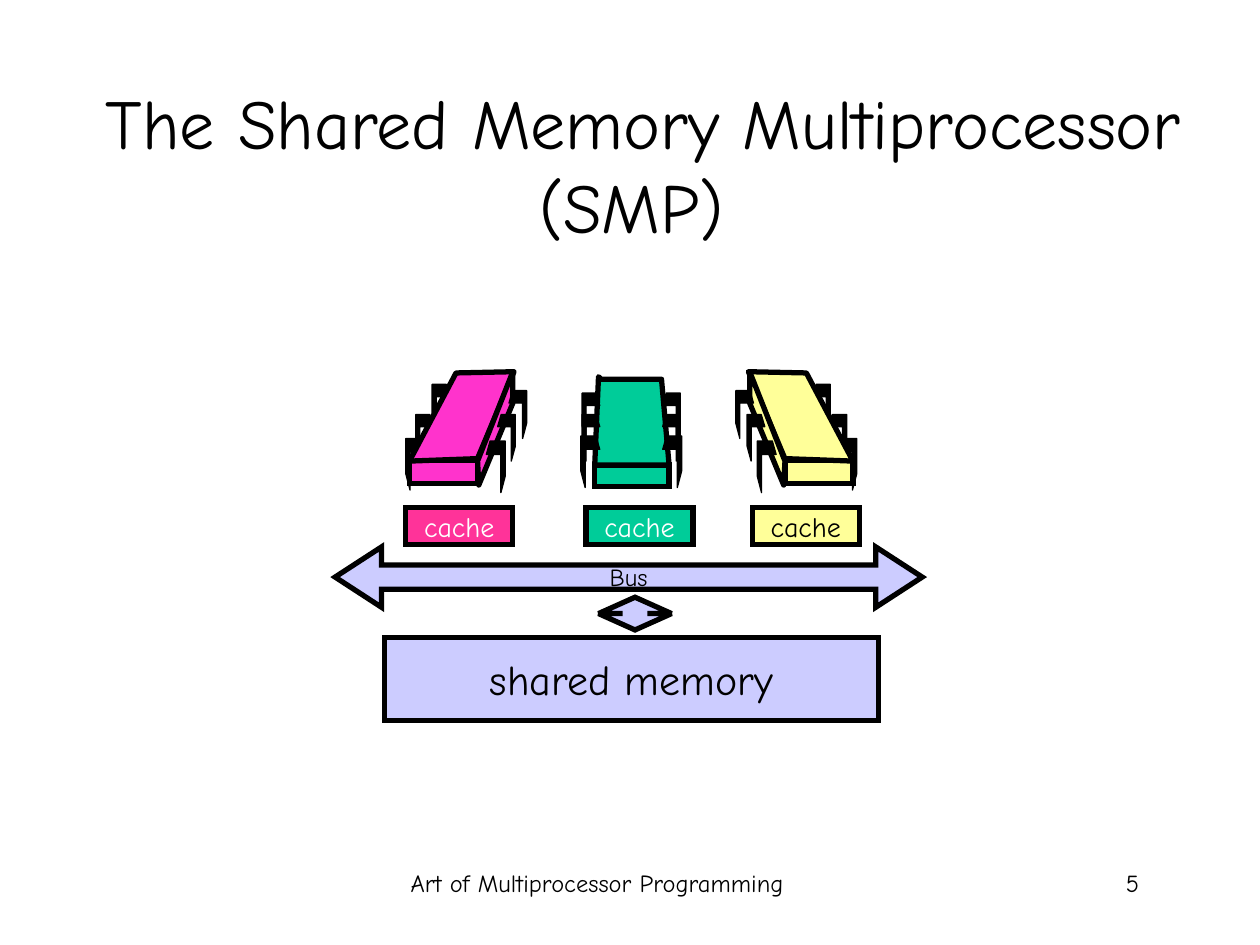
"""Build the shared memory multiprocessor slide."""
from lxml.etree import SubElement
from pptx import Presentation
from pptx.dml.color import RGBColor
from pptx.enum.shapes import MSO_SHAPE
from pptx.enum.text import MSO_ANCHOR, PP_ALIGN
from pptx.oxml.ns import qn
from pptx.util import Inches, Pt

FONT = "Comic Neue"
COLORS = {"black": "000000", "white": "FFFFFF", "pink": "FF33CC", "rose": "FF3399",
          "green": "00CC99", "yellow": "FFFF99", "lilac": "CCCCFF"}
AXIS = 5.01

TEXTS = [
    ("Art of Multiprocessor Programming", (2.6, 6.84, 4.28, 0.5), 14, PP_ALIGN.CENTER, MSO_ANCHOR.TOP),
    ("5", (7.06, 6.84, 2.08, 0.5), 14, PP_ALIGN.RIGHT, MSO_ANCHOR.TOP),
    ("The Shared Memory Multiprocessor\v(SMP) ", (0.27, 0.67, 9.67, 1.25), 40, PP_ALIGN.CENTER,
     MSO_ANCHOR.MIDDLE),
]

LEG_SIZES = {"front": (0.15, 0.41), "middle": (0.14, 0.37), "back": (0.14, 0.38)}
LEG_OUTLINE = [(0.8, 0), (0, 0), (0, 0.68), (0.23, 1), (0.23, 0.26), (1, 0.26)]

SIDE_CHIP = {
    "front": (3.25, 3.65, 0.54, 0.19),
    "far_legs": [("front", 3.22, 3.48, 1), ("middle", 3.3, 3.29, 1), ("back", 3.43, 3.05, 1)],
    "faces": [[(3.25, 3.66), (3.79, 3.64), (4.08, 2.95), (3.62, 2.96)],
              [(4.07, 2.95), (4.07, 3.2), (3.8, 3.85), (3.79, 3.66)]],
    "near_legs": [("front", 4.01, 3.5, -1), ("middle", 4.09, 3.29, -1), ("back", 4.18, 3.1, -1)],
}
MIDDLE_CHIP = {
    "front": (4.72, 3.69, 0.59, 0.17),
    "far_legs": [],
    "faces": [[(4.77, 3.01), (5.25, 3.01), (5.31, 3.69), (4.72, 3.69), (4.75, 2.99)]],
    "near_legs": [(row, x, y, side) for row, left, y in
                  [("front", 4.61, 3.46), ("middle", 4.62, 3.29), ("back", 4.62, 3.12)]
                  for x, side in [(left, 1), (2 * AXIS - left, -1)]],
}
CHIPS = [(MIDDLE_CHIP, "green", False), (SIDE_CHIP, "pink", False), (SIDE_CHIP, "yellow", True)]

CACHES = [(3.22, "rose", "white"), (4.65, "green", "white"), (5.97, "yellow", "black")]
BLOCKS = [
    (MSO_SHAPE.LEFT_RIGHT_ARROW, (2.66, 4.34, 4.66, 0.48), "lilac", (0.4, 0.77), "Bus", 14, "black"),
    (MSO_SHAPE.RECTANGLE, (3.05, 5.06, 3.92, 0.66), "lilac", (), "shared memory", 24, "black"),
    (MSO_SHAPE.UP_DOWN_ARROW, (4.75, 4.74, 0.58, 0.26), "lilac", (0.5, 0.34), "", 14, "black"),
] + [(MSO_SHAPE.RECTANGLE, (x, 4.03, 0.85, 0.29), fill, (), "cache", 16, ink) for x, fill, ink in CACHES]


def rgb(name):
    return RGBColor.from_string(COLORS[name])


def write(sp, text, size, color="black", **frame):
    tf = sp.text_frame
    align = frame.pop("alignment", PP_ALIGN.CENTER)
    for key, value in frame.items():
        setattr(tf, key, value)
    p = tf.paragraphs[0]
    p.text = text
    p.alignment = align
    for r in p.runs:
        for key, value in {"name": FONT, "size": Pt(size)}.items():
            setattr(r.font, key, value)
        r.font.color.rgb = rgb(color)


def paint(sp, fill, width=3):
    sp.shadow.inherit = False
    sp.fill.solid()
    sp.fill.fore_color.rgb = rgb(fill)
    sp.line.color.rgb = rgb("black")
    sp.line.width = Pt(width)


def add_block(s, kind, box, fill, adjustments=()):
    sp = s.shapes.add_shape(kind, *map(Inches, box))
    for i, value in enumerate(adjustments):
        sp.adjustments[i] = value
    paint(sp, fill)
    SubElement(sp.line._get_or_add_ln(), qn("a:miter"), lim="800000")
    return sp


def add_polygon(s, points, fill, width, mirrored):
    points = [(Inches(2 * AXIS - x if mirrored else x), Inches(y)) for x, y in points]
    builder = s.shapes.build_freeform(*points[0])
    builder.add_line_segments(points[1:], close=True)
    paint(builder.convert_to_shape(), fill, width)


def add_legs(s, legs, mirrored):
    for row, x, y, side in legs:
        w, h = LEG_SIZES[row]
        points = [(x + side * dx * w, y + dy * h) for dx, dy in LEG_OUTLINE]
        add_polygon(s, points, "black", 0.75, mirrored)


def add_chip(s, chip, fill, mirrored):
    x, y, w, h = chip["front"]
    add_block(s, MSO_SHAPE.RECTANGLE, (2 * AXIS - x - w if mirrored else x, y, w, h), fill)
    add_legs(s, chip["far_legs"], mirrored)
    for face in chip["faces"]:
        add_polygon(s, face, fill, 3, mirrored)
    add_legs(s, chip["near_legs"], mirrored)


def main():
    prs = Presentation()
    prs.slide_width, prs.slide_height = Inches(10), Inches(7.5)
    s = prs.slides.add_slide(prs.slide_layouts[6])
    for text, box, size, align, anchor in TEXTS:
        sp = s.shapes.add_textbox(*map(Inches, box))
        write(sp, text, size, alignment=align, vertical_anchor=anchor, word_wrap=True)
    for chip, fill, mirrored in CHIPS:
        add_chip(s, chip, fill, mirrored)
    for kind, box, fill, adjustments, text, size, ink in BLOCKS:
        sp = add_block(s, kind, box, fill, adjustments)
        if text:
            write(sp, text, size, ink, vertical_anchor=MSO_ANCHOR.MIDDLE, word_wrap=False)
    prs.save("out.pptx")


if __name__ == "__main__":
    main()
